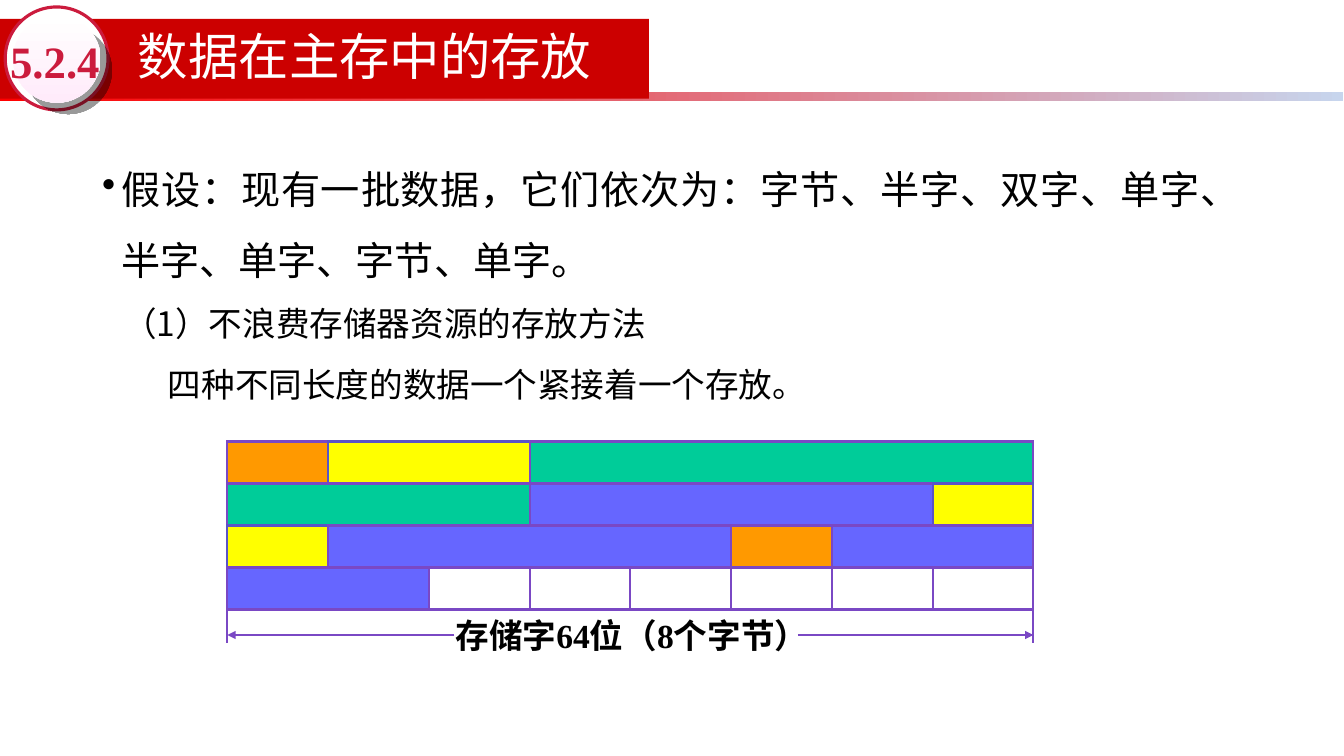
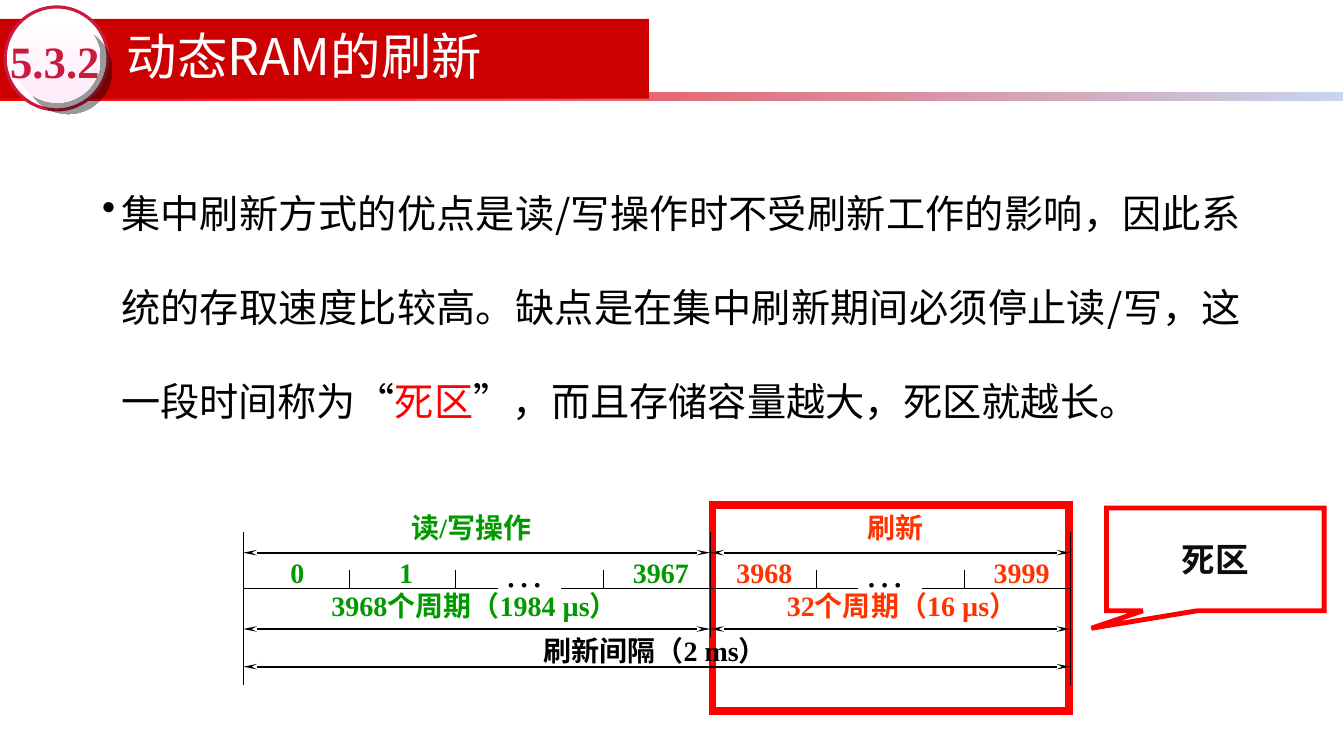
from dataclasses import dataclass
from itertools import product

from lxml import etree
from pptx import Presentation
from pptx.dml.color import RGBColor
from pptx.enum.shapes import MSO_CONNECTOR, MSO_SHAPE
from pptx.enum.text import MSO_ANCHOR, PP_ALIGN
from pptx.oxml.ns import qn
from pptx.util import Pt

RECT, OVAL = MSO_SHAPE.RECTANGLE, MSO_SHAPE.OVAL
CALLOUT = MSO_SHAPE.RECTANGULAR_CALLOUT
STRAIGHT = MSO_CONNECTOR.STRAIGHT
TOP, MIDDLE = MSO_ANCHOR.TOP, MSO_ANCHOR.MIDDLE
CENTER, JUSTIFY = PP_ALIGN.CENTER, PP_ALIGN.JUSTIFY
CJK, TIMES = "Noto Sans CJK SC", "Times New Roman"
COLORS = {
    "black": "000000", "white": "FFFFFF", "ink": "0D0D0D", "red": "FF0000",
    "band": "CC0000", "badge": "CB1B3D", "pale": "C7D5ED", "pink": "FFEBFA",
    "purple": "7A48C4", "indigo": "5B53C7", "byte": "FF9900", "half": "FFFF00",
    "word": "6666FF", "double": "00CC99", "green": "009900", "orange": "FF3300",
}


@dataclass
class Label:
    text: str
    x: float
    y: float
    w: float
    color: str = "black"
    size: float = 20
    bold: bool = True
    ea: str = CJK


@dataclass
class Line:
    x1: float
    y1: float
    x2: float
    y2: float
    width: float = 0.75
    color: str = "black"
    head: str = ""
    tail: str = ""


@dataclass
class Para:
    runs: list[tuple[str, str]]
    size: float
    pitch: float
    margin: float
    indent: float = 0
    bullet: bool = False


def rgb(name: str) -> RGBColor:
    return RGBColor.from_string(COLORS[name])


def sub(parent, tag: str, **attrs: str):
    """Append a drawing element to parent."""
    return etree.SubElement(parent, qn(tag), attrs)


def set_font(p, size: float, color: str, font: str = CJK, bold: bool = False,
             ea: str = CJK) -> None:
    p.font.size, p.font.bold, p.font.name = Pt(size), bold, font
    p.font.color.rgb = rgb(color)
    sub(p._p.pPr.find(qn("a:defRPr")), "a:ea", typeface=ea)


def set_indent(p, margin: float, indent: float = 0) -> None:
    pPr = p._p.get_or_add_pPr()
    pPr.set("marL", str(Pt(margin)))
    pPr.set("indent", str(Pt(indent)))


def add_shape(slide, kind, x: float, y: float, w: float, h: float, fill: str = "",
              line: str = "", width: float = 1.5):
    sp = slide.shapes.add_shape(kind, Pt(x), Pt(y), Pt(w), Pt(h))
    sp.shadow.inherit = False
    if fill:
        sp.fill.solid()
        sp.fill.fore_color.rgb = rgb(fill)
    else:
        sp.fill.background()
    if line:
        sp.line.color.rgb = rgb(line)
        sp.line.width = Pt(width)
        sub(sp._element.spPr.find(qn("a:ln")), "a:miter", lim="800000")
    else:
        sp.line.fill.background()
    return sp


def set_gradient(sp, start: str, end: str, angle: float) -> None:
    sp.fill.gradient()
    sp.fill.gradient_angle = angle
    for stop, position, color in zip(sp.fill.gradient_stops, (0, 1), (start, end)):
        stop.position = position
        stop.color.rgb = rgb(color)


def add_line(slide, line: Line) -> None:
    c = slide.shapes.add_connector(STRAIGHT, Pt(line.x1), Pt(line.y1),
                                   Pt(line.x2), Pt(line.y2))
    c.line.color.rgb = rgb(line.color)
    c.line.width = Pt(line.width)
    spPr = c._element.spPr
    for tag, end in (("a:headEnd", line.head), ("a:tailEnd", line.tail)):
        if end:
            size = {"w": "sm", "len": "lg"} if end == "stealth" else {}
            sub(spPr.find(qn("a:ln")), tag, type=end, **size)
    sub(spPr, "a:effectLst")


def add_text_box(slide, x: float, y: float, w: float, h: float, anchor=TOP):
    tf = slide.shapes.add_textbox(Pt(x), Pt(y), Pt(w), Pt(h)).text_frame
    tf.word_wrap = True
    tf.vertical_anchor = anchor
    return tf


def add_label(slide, label: Label) -> None:
    tf = add_text_box(slide, label.x, label.y, label.w, label.size * 1.6)
    p = tf.paragraphs[0]
    p.text = label.text
    set_font(p, label.size, label.color, TIMES, label.bold, label.ea)


def add_header(slide, number: str, title: str, indent: float = 0) -> None:
    """Draw the title band and the round section badge."""
    rule = add_shape(slide, RECT, 0, 66, 960, 6, "red")
    set_gradient(rule, "red", "pale", 0)
    add_shape(slide, RECT, 0, 13.5, 463.7, 57, "band")
    add_shape(slide, OVAL, 3.7, 5, 73.5, 73.5, "white", "badge", 2.25)
    disc = add_shape(slide, OVAL, 9.4, 10.8, 62.6, 62.6, "white")
    set_gradient(disc, "white", "pink", 270)
    shadow = sub(disc._element.spPr.find(qn("a:effectLst")), "a:outerShdw",
                 dist=str(Pt(11.5)), dir="2700000", algn="ctr", rotWithShape="0")
    sub(sub(shadow, "a:srgbClr", val=COLORS["black"]), "a:alpha", val="40000")

    p = add_text_box(slide, 83.5, 13, 535.7, 59, MIDDLE).paragraphs[0]
    p.text = title
    p.line_spacing = 0.9
    set_indent(p, indent)
    set_font(p, 36, "white")

    tf = add_text_box(slide, 7.2, 23.6, 67, 38.9, MIDDLE)
    tf.margin_left = tf.margin_right = tf.margin_top = tf.margin_bottom = 0
    p = tf.paragraphs[0]
    p.text = number
    set_font(p, 32, "badge", TIMES, True)


def add_body(slide, paras: list[Para]) -> None:
    tf = add_text_box(slide, 66, 97.9, 828, 391.7)
    for i, para in enumerate(paras):
        p = tf.add_paragraph() if i else tf.paragraphs[0]
        p.alignment = JUSTIFY
        p.line_spacing = Pt(para.pitch)
        set_indent(p, para.margin, para.indent)
        pPr = p._p.get_or_add_pPr()
        pPr.set("hangingPunct", "0")
        if para.bullet:
            sub(sub(pPr, "a:buClr"), "a:srgbClr", val=COLORS["black"])
            sub(pPr, "a:buChar", char="•")
        set_font(p, para.size, "black")
        for text, color in para.runs:
            r = p.add_run()
            r.text = text
            if color != "black":
                r.font.color.rgb = rgb(color)


def add_memory_map(slide) -> None:
    """Pack the data items one after another into rows of eight bytes."""
    left, top, cell, row_h, row_len, rows = 162.5, 315.4, 72, 30, 8, 4
    right, axis_y, foot = left + row_len * cell, 453.6, 459.4
    sizes = {"byte": 1, "half": 2, "word": 4, "double": 8}
    items = ["byte", "half", "double", "word", "half", "word", "byte", "word"]

    for row in range(rows):
        add_shape(slide, RECT, left, top + row * row_h, row_len * cell, row_h,
                  line="purple")
    lines = [(left, 429, left, foot, ""), (right, 423.4, right, foot, ""),
             (570.2, axis_y, right, axis_y, "triangle"),
             (324.7, axis_y, left, axis_y, "triangle")]
    lines += [(left + i * cell, top, left + i * cell, 436, "")
              for i in range(1, row_len)]
    for *ends, tail in lines:
        add_line(slide, Line(*ends, 1.5, "purple", tail=tail))
    add_label(slide, Label("存储字64位（8个字节）", 318.5, 435.6, 300, size=24))

    start = 0
    for item in items:
        rest = sizes[item]
        while rest:
            row, col = divmod(start, row_len)
            span = min(rest, row_len - col)
            add_shape(slide, RECT, left + col * cell, top + row * row_h,
                      span * cell, row_h, item,
                      "indigo" if item == "half" else "purple")
            start += span
            rest -= span


def add_refresh_timeline(slide) -> None:
    left, split, right = 173.8, 507.6, 764.9
    base = 420.5
    for x, y1, y2 in [(left, 380, 489.6), (split, 380, 455), (right, 380, 489.6)]:
        add_line(slide, Line(x, y1, x, y2))
    for x1, x2 in [(left, 355.7), (401, 613.4), (658.8, right)]:
        add_line(slide, Line(x1, base, x2, base))
    for x in (249.8, 325.4, 431.5, 583.2, 689):
        add_line(slide, Line(x, 406.8, x, base))
    spans = list(product([(left, split), (split, right)], (394.8, 449.3)))
    for (x1, x2), y in spans + [((left, right), 476.2)]:
        add_line(slide, Line(x1, y, x2, y, 1.5, head="stealth", tail="stealth"))

    heading_y, count_y, period_y = 361, 393.3, 416.9
    labels = [
        Label("刷新间隔（2 ms）", 381.3, 448.6, 235),
        Label("读/写操作", 286.8, heading_y, 176, "green"),
        Label("刷新", 612.7, heading_y, 97, "orange"),
        Label("3968个周期（1984 µs）", 229.7, period_y, 303, "green"),
        Label("32个周期（16 µs）", 555.3, period_y, 279, "orange"),
    ]
    labels += [Label(text, x, count_y, 140, color) for text, x, color in [
        ("0", 200.4, "green"), ("1", 278.2, "green"), ("3967", 445.2, "green"),
        ("3968", 519.2, "orange"), ("3999", 703, "orange")]]
    labels += [Label("…", x, 388, 155, size=28, bold=False, ea=TIMES)
               for x in (353.5, 611.3)]
    for label in labels:
        add_label(slide, label)


def add_dead_zone_callout(slide) -> None:
    sp = add_shape(slide, CALLOUT, 790.8, 362.9, 155.5, 73.4, line="red", width=3.5)
    sp.adjustments[0], sp.adjustments[1] = -0.57, 0.67
    tf = sp.text_frame
    tf.word_wrap = True
    tf.vertical_anchor = MIDDLE
    p = tf.paragraphs[0]
    p.text = "死区"
    p.alignment = CENTER
    set_font(p, 24, "ink", bold=True)


def build_storage_slide(slide) -> None:
    add_header(slide, "5.2.4", "数据在主存中的存放", 8)
    add_body(slide, [
        Para([("假设：现有一批数据，它们依次为：字节、半字、双字、单字、"
               "半字、单字、字节、单字。", "black")], 28, 50.5, 13.5, -13.5, True),
        Para([("（1）不浪费存储器资源的存放方法", "black")], 24, 43, 40.5, -25.5),
        Para([("四种不同长度的数据一个紧接着一个存放。", "black")], 24, 43, 47),
    ])
    add_memory_map(slide)


def build_refresh_slide(slide) -> None:
    add_header(slide, "5.3.2", "动态RAM的刷新")
    add_shape(slide, RECT, 509.2, 360.7, 255, 147, line="red", width=5.5)
    add_body(slide, [Para([
        ("集中刷新方式的优点是读/写操作时不受刷新工作的影响，因此系统的存取速度比较高。"
         "缺点是在集中刷新期间必须停止读/写，这一段时间称为“", "black"),
        ("死区", "red"),
        ("”，而且存储容量越大，死区就越长。", "black"),
    ], 28, 67.2, 13.5, -13.5, True)])
    add_refresh_timeline(slide)
    add_dead_zone_callout(slide)


def main() -> None:
    prs = Presentation()
    prs.slide_width, prs.slide_height = Pt(960.48), Pt(540)
    blank = prs.slide_layouts[6]
    for build in (build_storage_slide, build_refresh_slide):
        build(prs.slides.add_slide(blank))
    prs.save("out.pptx")


if __name__ == "__main__":
    main()
